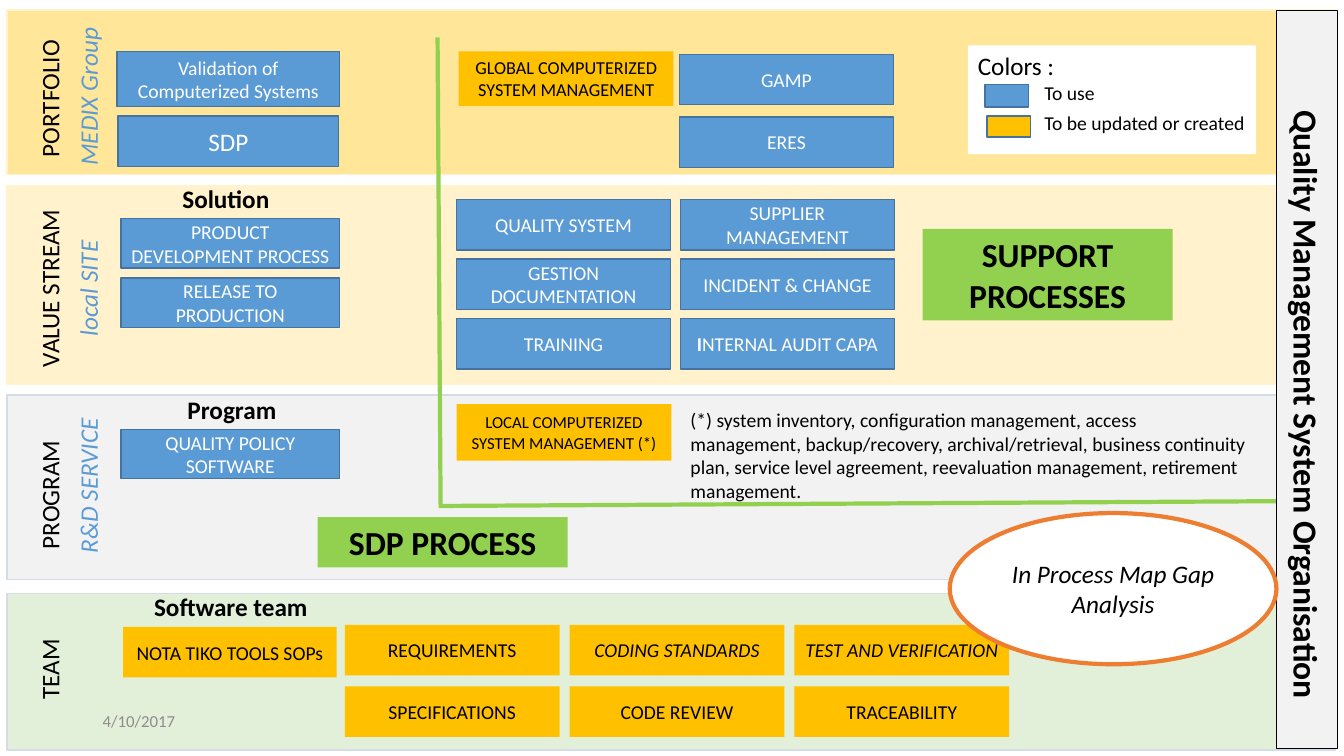
import pptx
import pptx.dml.color
import pptx.enum.shapes
import pptx.enum.text
import pptx.oxml
import pptx.oxml.ns
import pptx.util

RGBColor = pptx.dml.color.RGBColor
Shape = pptx.enum.shapes.MSO_SHAPE
Anchor = pptx.enum.text.MSO_ANCHOR
Align = pptx.enum.text.PP_ALIGN

BLACK = RGBColor(0x00, 0x00, 0x00)
WHITE = RGBColor(0xFF, 0xFF, 0xFF)
GREY = RGBColor(0x8C, 0x8C, 0x8C)
PALE_GREY = RGBColor(0xF2, 0xF2, 0xF2)
BLUE = RGBColor(0x5B, 0x9B, 0xD5)
DARK_BLUE = RGBColor(0x43, 0x73, 0x9E)
PALE_BLUE = RGBColor(0xD6, 0xDC, 0xE5)
AMBER = RGBColor(0xFF, 0xC0, 0x00)
SAND = RGBColor(0xFF, 0xE6, 0x99)
CREAM = RGBColor(0xFF, 0xF2, 0xCC)
PALE_GREEN = RGBColor(0xE2, 0xF0, 0xD9)
GREEN = RGBColor(0x92, 0xD0, 0x50)
ORANGE = RGBColor(0xED, 0x7D, 0x31)


class ProcessMap:
    """Draws the elements of the map; lengths are px, 100 to the inch."""

    font = "Calibri"
    scale = 9144

    def __init__(self, presentation):
        presentation.slide_width = self.px(1333)
        presentation.slide_height = self.px(750)
        self.slide = presentation.slides.add_slide(presentation.slide_layouts[6])

    def px(self, length):
        return pptx.util.Emu(length * self.scale)

    def frame(self, *lengths):
        return [self.px(length) for length in lengths]

    def add_words(self, shape, text, size, color=BLACK, bold=False, italic=False,
                  align=Align.CENTER, anchor=Anchor.MIDDLE):
        """Text is a string or a list of paragraphs: strings or lists of (text, bold) runs."""
        text_frame = shape.text_frame
        text_frame.word_wrap = True
        text_frame.vertical_anchor = anchor
        for index, content in enumerate(text if isinstance(text, list) else [text]):
            paragraph = text_frame.paragraphs[0] if index == 0 else text_frame.add_paragraph()
            paragraph.alignment = align
            runs = content if isinstance(content, list) else [(content, bold)]
            for words, is_bold in runs:
                run = paragraph.add_run()
                run.text = words
                run.font.name = self.font
                run.font.size = pptx.util.Pt(size)
                run.font.bold = is_bold
                run.font.italic = italic
                run.font.color.rgb = color

    def block(self, left, top, width, height, fill, line=None, weight=1, kind=Shape.RECTANGLE):
        shape = self.slide.shapes.add_shape(kind, *self.frame(left, top, width, height))
        shape.shadow.inherit = False
        shape.fill.solid()
        shape.fill.fore_color.rgb = fill
        if line is None:
            shape.line.fill.background()
        else:
            shape.line.color.rgb = line
            shape.line.width = pptx.util.Pt(weight)
        return shape

    def in_use(self, text, left, top, width=212, height=50, size=14):
        shape = self.block(left, top, width, height, BLUE, DARK_BLUE)
        self.add_words(shape, text, size, WHITE)

    def to_create(self, text, left, top, width=212, height=50, size=14, italic=False):
        shape = self.block(left, top, width, height, AMBER)
        self.add_words(shape, text, size, italic=italic)

    def text(self, text, left, top, width, height, size, **style):
        box = self.slide.shapes.add_textbox(*self.frame(left, top, width, height))
        self.add_words(box, text, size, **style)
        return box

    def side_label(self, text, center_x, center_y, **style):
        box = self.text(text, center_x - 95, center_y - 20, 190, 40, 18, **style)
        box.rotation = 270

    def divider(self, *ends):
        line = self.slide.shapes.add_connector(
            pptx.enum.shapes.MSO_CONNECTOR.STRAIGHT, *self.frame(*ends))
        line.line.color.rgb = GREEN
        line.line.width = pptx.util.Pt(3)
        properties = line._element.spPr
        properties.append(pptx.oxml.parse_xml(
            f'<a:effectLst {pptx.oxml.ns.nsdecls("a")}/>'))

    def banner(self, text, left, top, width, height):
        shape = self.block(left, top, width, height, PALE_GREY, BLACK, 0.75)
        self.add_words(shape, text, 24, bold=True)
        shape.text_frame._txBody.bodyPr.set("vert", "vert")
        shape.text_frame.paragraphs[0]._p.get_or_add_pPr().set("marL", str(self.px(50)))

    def legend(self, left, top, width, height):
        box = self.block(left, top, width, height, WHITE)
        text = ["Colors :", "To use", "To be updated or created"]
        self.add_words(box, text, 14, align=Align.LEFT, anchor=Anchor.TOP)
        heading, *entries = box.text_frame.paragraphs
        heading.runs[0].font.size = pptx.util.Pt(18)
        for entry in entries:
            entry._p.get_or_add_pPr().set("marL", str(self.px(66)))
        entries[-1].space_before = pptx.util.Pt(5)
        self.block(left + 17, top + 39, 43, 22, BLUE, DARK_BLUE)
        self.block(left + 19, top + 70, 43, 21, AMBER, DARK_BLUE)


def main():
    presentation = pptx.Presentation()
    process_map = ProcessMap(presentation)

    # Level bands
    for top, height, fill, line in (
            (10, 163, SAND, CREAM), (184, 197, CREAM, CREAM),
            (392, 183, PALE_GREY, PALE_BLUE), (589, 155, PALE_GREEN, PALE_BLUE)):
        process_map.block(7, top, 1317, height, fill, line)

    # Level names and their owners
    for name, center_y in (("PORTFOLIO", 98), ("VALUE STREAM", 286),
                           ("PROGRAM", 491), ("TEAM", 664)):
        process_map.side_label(name, 49, center_y)
    for owner, center_y in (("MEDIX Group", 96), ("local SITE", 286), ("R&D SERVICE", 482)):
        process_map.side_label(owner, 87, center_y, color=BLUE, italic=True)

    # Border between the two process families
    process_map.divider(434, 37, 437, 500)
    process_map.divider(1307, 497, 435, 502)

    # Headings
    for heading, left, top in (("Solution", 130, 177), ("Program", 136, 386),
                               ("Software team", 135, 582)):
        process_map.text(heading, left, top, 188, 40, 18, bold=True)

    # SDP process documents
    process_map.in_use("Validation of Computerized Systems", 116, 51, 221, 55)
    process_map.in_use("SDP", 117, 115, 219, size=18)
    for title, top in (("PRODUCT DEVELOPMENT PROCESS", 217),
                       ("RELEASE TO PRODUCTION", 276),
                       ("QUALITY POLICY SOFTWARE", 426)):
        process_map.in_use(title, 120, top, 217, 49)

    # Support process documents
    process_map.to_create("GLOBAL COMPUTERIZED SYSTEM MANAGEMENT", 455, 51, 213, 54, size=13)
    process_map.in_use("GAMP", 674, 54)
    process_map.in_use("ERES", 674, 116)
    support_rows = (
        ("QUALITY SYSTEM", ["SUPPLIER", "MANAGEMENT"]),
        ("GESTION DOCUMENTATION", "INCIDENT & CHANGE"),
        ("TRAINING", [[("I", True), ("NTERNAL AUDIT CAPA", False)]]),
    )
    for row, titles in enumerate(support_rows):
        for column, title in enumerate(titles):
            process_map.in_use(title, 453 + 222 * column, 198 + 59 * row)
    process_map.to_create("LOCAL COMPUTERIZED SYSTEM MANAGEMENT (*)", 453, 401, 213, 56, size=12)
    process_map.text(
        "(*) system inventory, configuration management, access management, "
        "backup/recovery, archival/retrieval, business continuity plan, service level "
        "agreement, reevaluation management, retirement management.",
        675, 400, 571, 104, 14, align=Align.LEFT, anchor=Anchor.TOP)

    # Team documents
    process_map.to_create("NOTA TIKO TOOLS SOPs", 122, 622)
    team_rows = (
        (("REQUIREMENTS", False), ("CODING STANDARDS", True), ("TEST AND VERIFICATION", True)),
        (("SPECIFICATIONS", False), ("CODE REVIEW", False), ("TRACEABILITY", False)),
    )
    for row, documents in enumerate(team_rows):
        for column, (title, italic) in enumerate(documents):
            process_map.to_create(title, 342 + 223 * column, 620 + 61 * row, 213, italic=italic)

    # Process family names
    for name, left, top, height in ((["SUPPORT", "PROCESSES"], 915, 227, 91),
                                    ("SDP PROCESS", 315, 513, 50)):
        family = process_map.block(left, top, 248, height, GREEN)
        process_map.add_words(family, name, 24, bold=True)

    # Legend, banner, gap analysis and date
    process_map.legend(960, 45, 286, 108)
    process_map.banner("Quality Management System Organisation", 1266, 10, 61, 733)
    gap_analysis = process_map.block(942, 509, 324, 150, WHITE, ORANGE, 3, Shape.OVAL)
    process_map.add_words(gap_analysis, "In Process Map Gap Analysis", 18, italic=True)
    process_map.text("4/10/2017", 92, 695, 300, 40, 12, color=GREY, align=Align.LEFT)

    presentation.save("out.pptx")


if __name__ == "__main__":
    main()
